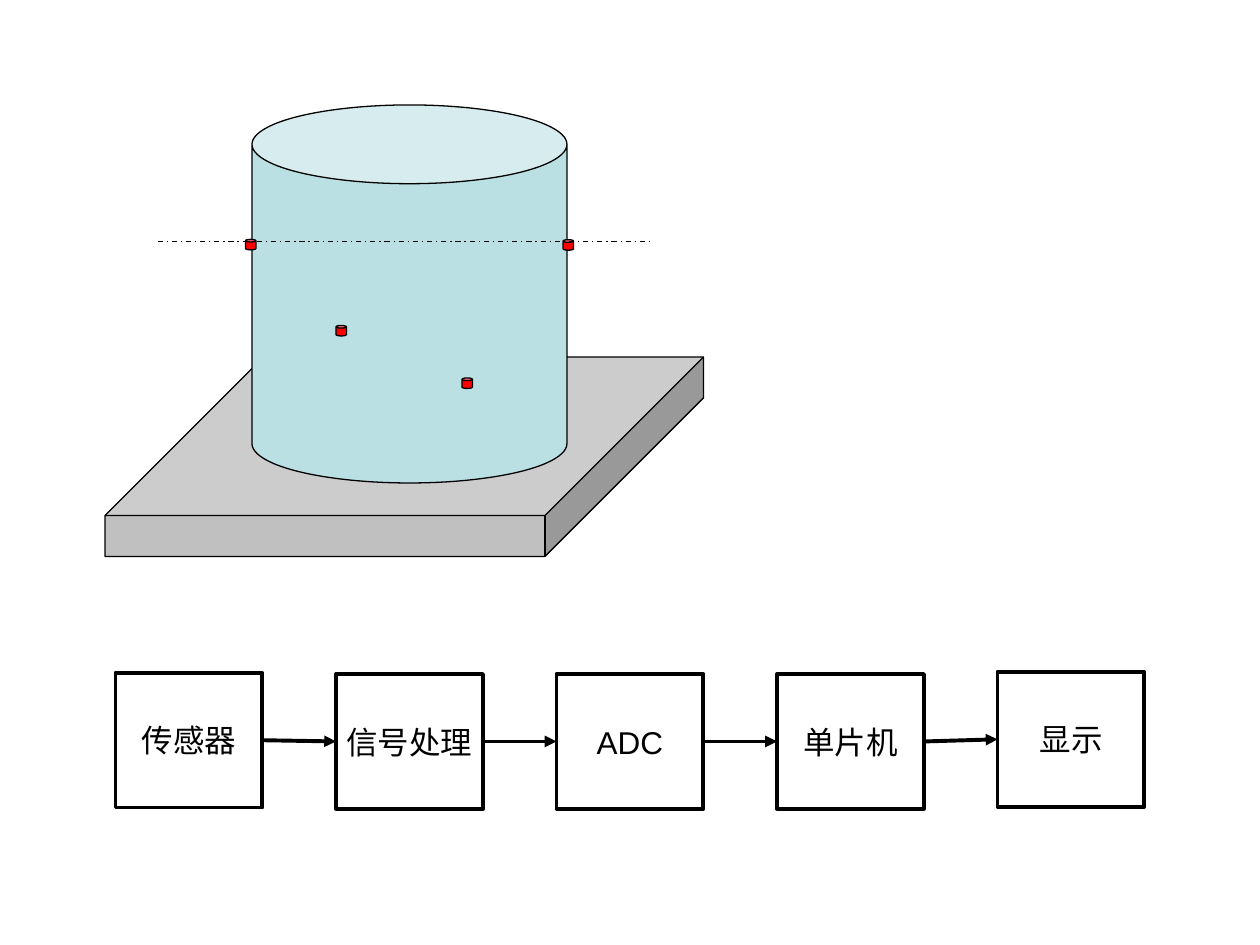
import pptx
import pptx.dml.color
import pptx.enum.dml
import pptx.enum.shapes
import pptx.enum.text
import pptx.util
import lxml.etree

Pt = pptx.util.Pt
SHAPE = pptx.enum.shapes.MSO_SHAPE
STRAIGHT = pptx.enum.shapes.MSO_CONNECTOR.STRAIGHT


def color(value):
    return pptx.dml.color.RGBColor.from_string(value)


def outline(item, width):
    item.line.color.rgb = color("000000")
    item.line.width = Pt(width)
    if hasattr(item, "shadow"):
        item.shadow.inherit = False
    else:
        lxml.etree.SubElement(item._element.spPr, pptx.oxml.ns.qn("a:effectLst"))


presentation = pptx.Presentation()
presentation.slide_width = Pt(720)
presentation.slide_height = Pt(540)
slide = presentation.slides.add_slide(presentation.slide_layouts[6])

apparatus = slide.shapes.add_group_shape().shapes
solids = [
    (SHAPE.CUBE, 60, 204, 342, 114, 0.795, "C0C0C0"),
    (SHAPE.CAN, 144, 60, 180, 216, 0.25, "BBE0E3"),
]
for left, top in [(140.25, 136.8), (321.75, 137), (192, 186), (264, 216)]:
    solids.append((SHAPE.CAN, left, top, 6, 6, 0.25, "FF0000"))
for kind, left, top, width, height, depth, fill in solids:
    solid = apparatus.add_shape(kind, Pt(left), Pt(top), Pt(width), Pt(height))
    solid.adjustments[0] = depth
    solid.fill.solid()
    solid.fill.fore_color.rgb = color(fill)
    outline(solid, 0.75)

sensor_level = apparatus.add_connector(STRAIGHT, Pt(90), Pt(138), Pt(372), Pt(138))
outline(sensor_level, 0.75)
sensor_level.line.dash_style = pptx.enum.dml.MSO_LINE.DASH_DOT

signal_chain = slide.shapes.add_group_shape().shapes
stages = []
stage_tops = [("传感器", 384.5), ("信号处理", 385.2), ("ADC", 385.2), ("单片机", 385.2), ("显示", 384)]
for index, (label, top) in enumerate(stage_tops):
    stage = signal_chain.add_shape(SHAPE.RECTANGLE, Pt(66 + 126 * index), Pt(top), Pt(84), Pt(77))
    stage.fill.background()
    outline(stage, 2.25)
    stage.text_frame.word_wrap = False
    stage.text_frame.vertical_anchor = pptx.enum.text.MSO_ANCHOR.MIDDLE
    paragraph = stage.text_frame.paragraphs[0]
    paragraph.alignment = pptx.enum.text.PP_ALIGN.CENTER
    run = paragraph.add_run()
    run.text = label
    run.font.name = "Arial"
    run.font.size = Pt(18)
    run.font.color.rgb = color("000000")
    stages.append(stage)

for source, target in zip(stages, stages[1:]):
    flow = signal_chain.add_connector(STRAIGHT, Pt(0), Pt(0), Pt(0), Pt(0))
    flow.begin_connect(source, 3)
    flow.end_connect(target, 1)
    outline(flow, 2.25)
    lxml.etree.SubElement(flow.line._get_or_add_ln(), pptx.oxml.ns.qn("a:tailEnd"), type="triangle")

for group in slide.shapes:
    members = list(group.shapes)
    group.left = min(member.left for member in members)
    group.top = min(member.top for member in members)
    group.width = max(member.left + member.width for member in members) - group.left
    group.height = max(member.top + member.height for member in members) - group.top
    frame = group._element.grpSpPr.xfrm
    frame.chOff.x, frame.chOff.y = group.left, group.top
    frame.chExt.cx, frame.chExt.cy = group.width, group.height

presentation.save("out.pptx")
